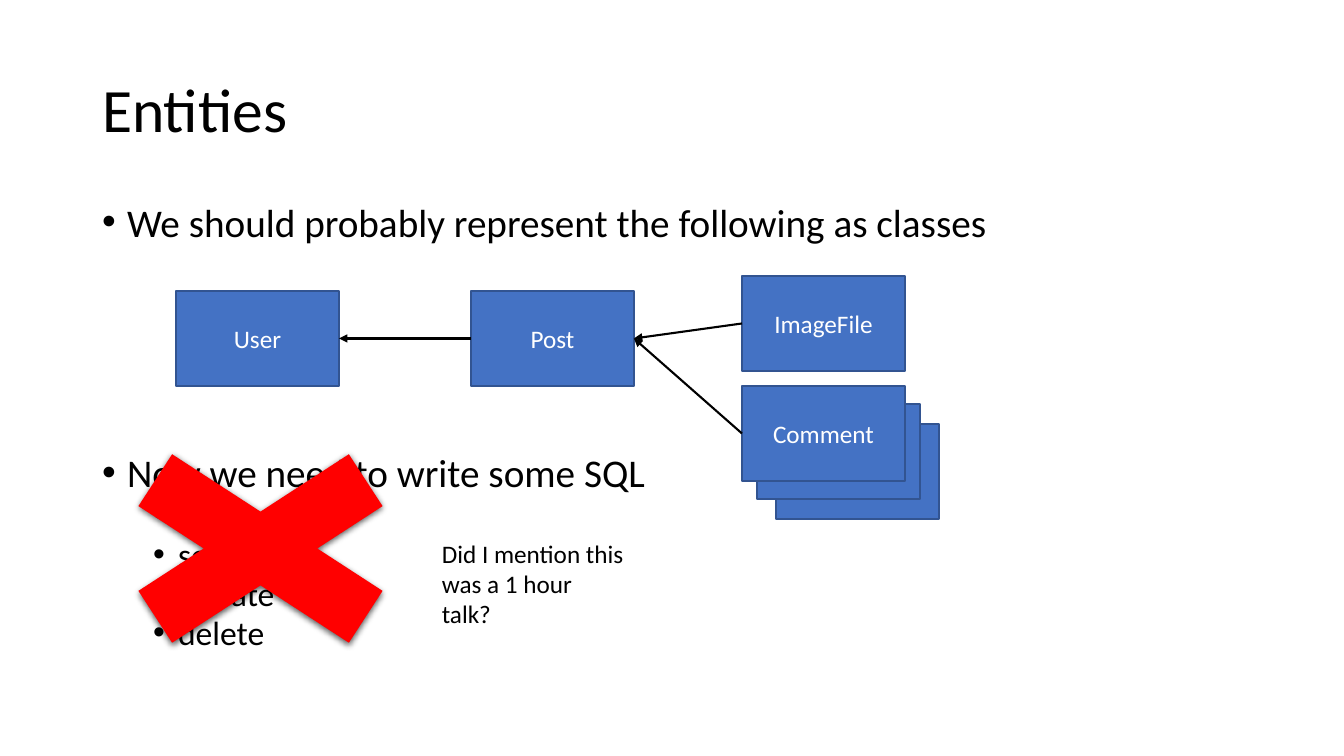
from lxml import etree
from pptx import Presentation
from pptx.dml.color import RGBColor
from pptx.enum.shapes import MSO_CONNECTOR, MSO_SHAPE
from pptx.enum.text import MSO_ANCHOR, MSO_AUTO_SIZE, PP_ALIGN
from pptx.oxml.ns import qn
from pptx.util import Emu, Pt

RECTANGLE, CROSS = MSO_SHAPE.RECTANGLE, MSO_SHAPE.MATH_MULTIPLY
STRAIGHT = MSO_CONNECTOR.STRAIGHT
LEFT, CENTER = PP_ALIGN.LEFT, PP_ALIGN.CENTER
TOP, MIDDLE = MSO_ANCHOR.TOP, MSO_ANCHOR.MIDDLE
LEFT_SITE, RIGHT_SITE = 1, 3

BLACK = RGBColor(0x00, 0x00, 0x00)
WHITE = RGBColor(0xFF, 0xFF, 0xFF)
BLUE = RGBColor(0x44, 0x72, 0xC4)
DARK_BLUE = RGBColor(0x32, 0x54, 0x91)
RED = RGBColor(0xFF, 0x00, 0x00)
FONT = "Calibri"
EMU_PER_PX = 914400 / 100.8

TITLE = "Entities"
TITLE_AREA = (92, 40, 1159, 146)
BODY_AREA = (92, 202, 1159, 480)
BULLETS = [  # text, level, space before in points
    ("We should probably represent the following as classes", 0, 10),
    ("Now we need to write some SQL", 0, 152),  # leaves room for the diagram
    ("insert", 1, 5),
    ("select", 1, 5),
    ("update", 1, 5),
    ("delete", 1, 5),
]
BULLET_SIZES = (28, 24)
BULLET_INDENTS = (25, 76)
HANGING = 25
CROSS_AREA = (58, 417, 405, 263)
NOTE = "Did I mention this was a 1 hour talk?"
NOTE_AREA = (432, 533, 202, 102)
BOX_SIZE = (163, 95)
BOXES = [  # text, left, top, from back to front
    ("User", 176, 291),
    ("Post", 471, 291),
    ("ImageFile", 742, 276),
    ("", 776, 424),
    ("", 757, 404),
    ("Comment", 742, 386),
]
ARROWS = [("Post", "User"), ("Comment", "Post"), ("ImageFile", "Post")]


def px(length):
    return Emu(round(length * EMU_PER_PX))


def place(shape, area):
    shape.left, shape.top, shape.width, shape.height = map(px, area)


def write(para, text, size=18, color=BLACK, align=LEFT, **spacing):
    """Fill a paragraph; spacing names paragraph attributes to set."""
    para.alignment = align
    for name, value in spacing.items():
        setattr(para, name, value)
    span = para.add_run()
    span.text = text
    span.font.name = FONT
    span.font.size = Pt(size)
    span.font.color.rgb = color


def add_bullet(para, indent):
    properties = para._p.get_or_add_pPr()
    properties.set("marL", str(px(indent)))
    properties.set("indent", str(-px(HANGING)))
    etree.SubElement(properties, qn("a:buFont"), typeface="Arial")
    etree.SubElement(properties, qn("a:buChar"), char="•")


def add_title(page):
    title = page.shapes.title
    place(title, TITLE_AREA)
    title.text_frame.auto_size = MSO_AUTO_SIZE.NONE
    title.text_frame.vertical_anchor = MIDDLE
    write(title.text_frame.paragraphs[0], TITLE, size=44, line_spacing=0.9)


def add_body(page):
    body = page.placeholders[1]
    place(body, BODY_AREA)
    frame = body.text_frame
    frame.auto_size = MSO_AUTO_SIZE.NONE
    frame.vertical_anchor = TOP
    for number, (text, level, before) in enumerate(BULLETS):
        para = frame.add_paragraph() if number else frame.paragraphs[0]
        write(para, text, size=BULLET_SIZES[level], level=level,
              line_spacing=0.8, space_before=Pt(before), space_after=Pt(0))
        add_bullet(para, BULLET_INDENTS[level])


def add_filled(page, kind, area, fill, line=None):
    shape = page.shapes.add_shape(kind, *map(px, area))
    shape.shadow.inherit = False
    shape.fill.solid()
    shape.fill.fore_color.rgb = fill
    if line is None:
        shape.line.fill.background()
    else:
        shape.line.color.rgb = line
        shape.line.width = Pt(1)
    return shape


def add_cross(page):
    cross = add_filled(page, CROSS, CROSS_AREA, RED)
    effects = cross._element.spPr.find(qn("a:effectLst"))
    shadow = etree.SubElement(effects, qn("a:outerShdw"), blurRad=str(Pt(4.5)),
                              dist=str(Pt(1.5)), dir="5400000", algn="ctr", rotWithShape="0")
    color = etree.SubElement(shadow, qn("a:srgbClr"), val=str(BLACK))
    etree.SubElement(color, qn("a:alpha"), val="63000")


def add_note(page):
    frame = page.shapes.add_textbox(*map(px, NOTE_AREA)).text_frame
    frame.word_wrap = True
    write(frame.paragraphs[0], NOTE)


def add_box(page, text, left, top):
    box = add_filled(page, RECTANGLE, (left, top, *BOX_SIZE), BLUE, DARK_BLUE)
    if text:
        box.text_frame.vertical_anchor = MIDDLE
        write(box.text_frame.paragraphs[0], text, color=WHITE, align=CENTER)
    return box


def add_arrow(page, source, target):
    arrow = page.shapes.add_connector(STRAIGHT, 0, 0, 0, 0)
    arrow.begin_connect(source, LEFT_SITE)
    arrow.end_connect(target, RIGHT_SITE)
    arrow.line.color.rgb = BLACK
    arrow.line.width = Pt(1.5)
    etree.SubElement(arrow.line._get_or_add_ln(), qn("a:tailEnd"), type="triangle")
    etree.SubElement(arrow._element.spPr, qn("a:effectLst"))


def main():
    deck = Presentation()
    deck.slide_width, deck.slide_height = px(1344), px(756)
    page = deck.slides.add_slide(deck.slide_layouts[1])
    add_title(page)
    add_body(page)
    add_cross(page)
    add_note(page)
    boxes = {text: add_box(page, text, left, top) for text, left, top in BOXES}
    for source, target in ARROWS:
        add_arrow(page, boxes[source], boxes[target])
    deck.save("out.pptx")


if __name__ == "__main__":
    main()
